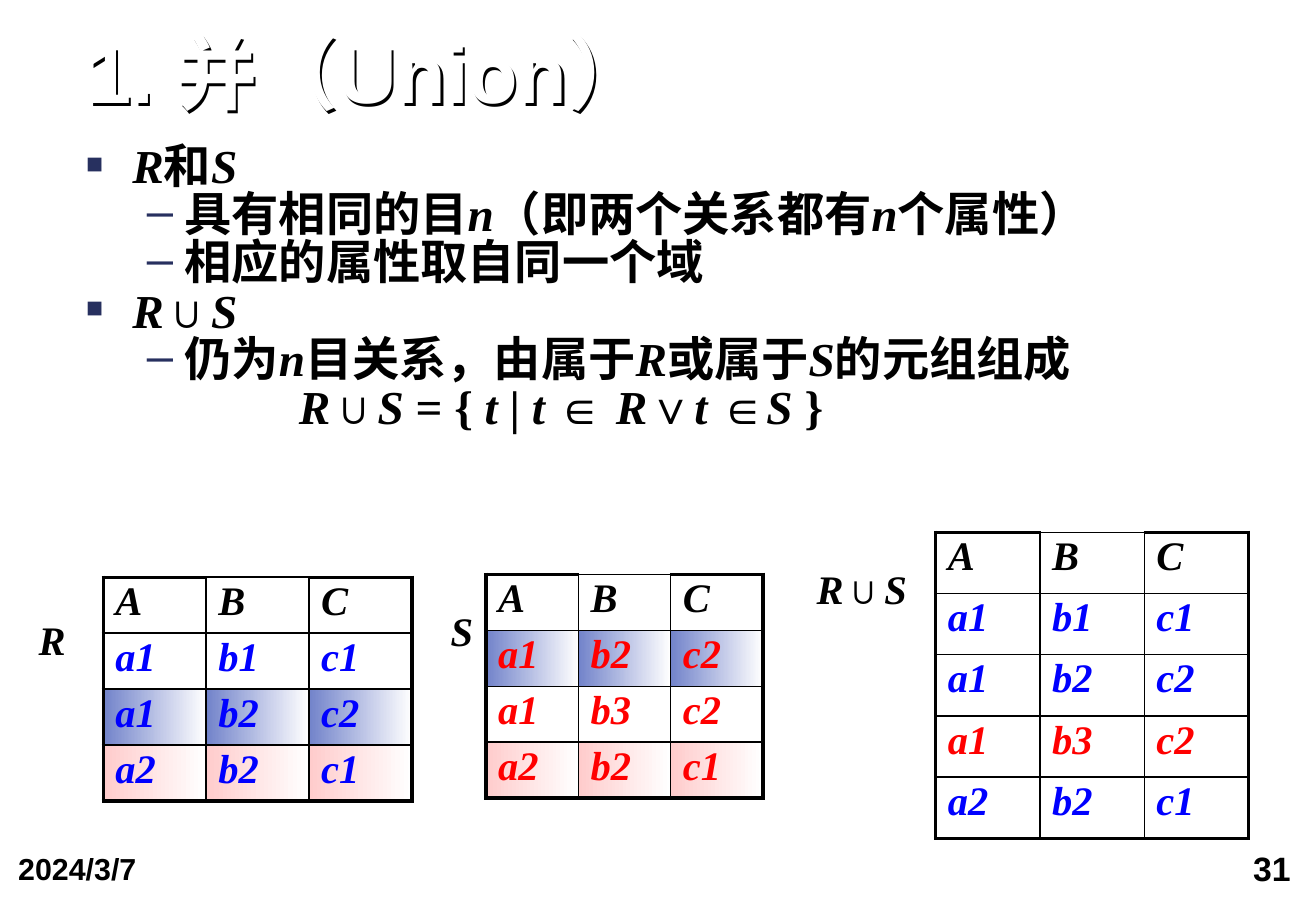
from lxml import etree
from pptx import Presentation
from pptx.dml.color import RGBColor
from pptx.enum.text import MSO_ANCHOR, PP_ALIGN
from pptx.oxml import parse_xml
from pptx.oxml.ns import nsdecls, qn
from pptx.util import Cm, Pt

LEFT, CENTER, RIGHT = PP_ALIGN.LEFT, PP_ALIGN.CENTER, PP_ALIGN.RIGHT
JUSTIFY = PP_ALIGN.JUSTIFY
TOP, MIDDLE, BOTTOM = MSO_ANCHOR.TOP, MSO_ANCHOR.MIDDLE, MSO_ANCHOR.BOTTOM
BLACK = RGBColor(0x00, 0x00, 0x00)
WHITE = RGBColor(0xFF, 0xFF, 0xFF)
BLUE = RGBColor(0x00, 0x00, 0xFF)
RED = RGBColor(0xFF, 0x00, 0x00)
NAVY = RGBColor(0x27, 0x30, 0x5F)
INDIGO = RGBColor(0x72, 0x83, 0xCA)
PINK = RGBColor(0xFF, 0xCC, 0xCC)
SANS, SERIF = "Arial", "Times New Roman"
THIN, THICK = Pt(1), Pt(2.25)

# marker, marker size in percent, left indent and first-line offset in cm
LEVELS = {
    "item": ("■", 60, 0.97, -0.97),
    "sub": ("–", 100, 2.06, -0.79),
    "formula": (None, 100, 4.45, 0),
}
BODY = [
    ("item", "*R*和*S*"),
    ("sub", "具有相同的目*n*（即两个关系都有*n*个属性）"),
    ("sub", "相应的属性取自同一个域"),
    ("item", "*R*∪*S*"),
    ("sub", "仍为*n*目关系，由属于*R*或属于*S*的元组组成"),
    ("formula", "*R*∪*S* = { *t *| *t *∈ *R*∨*t *∈*S *}"),
]
# label, label box, table origin, column width, row height, rows
RELATIONS = [
    ("*R*", (0.56, 12.19, 0.91), (2.16, 12.07), 2.15, 1.17, [
        ("a1 b1 c1", BLUE, None),
        ("a1 b2 c2", BLUE, INDIGO),
        ("a2 b2 c1", BLUE, PINK)]),
    ("*S*", (9.17, 12.01, 0.91), (10.16, 12.01), 1.93, 1.17, [
        ("a1 b2 c2", RED, INDIGO),
        ("a1 b3 c2", RED, None),
        ("a2 b2 c1", RED, PINK)]),
    ("*R*∪*S*", (16.76, 11.13, 2.51), (19.56, 11.13), 2.18, 1.28, [
        ("a1 b1 c1", BLUE, None),
        ("a1 b2 c2", BLUE, None),
        ("a1 b3 c2", RED, None),
        ("a2 b2 c1", BLUE, None)]),
]


class SlideBuilder:
    def __init__(self, slide):
        self.s = slide

    def add_runs(self, p, text, size, font=SERIF, color=BLACK):
        """Fill a paragraph with bold runs; parts between asterisks are italic."""
        for i, part in enumerate(text.split("*")):
            if part:
                r = p.add_run()
                r.text = part
                r.font.name, r.font.size = font, Pt(size)
                r.font.bold, r.font.italic = True, i % 2 == 1
                r.font.color.rgb = color

    def box(self, x, y, w, h, inset=(0, 0), anchor=TOP, wrap=True):
        sp = self.s.shapes.add_textbox(Cm(x), Cm(y), Cm(w), Cm(h))
        tf = sp.text_frame
        tf.word_wrap, tf.vertical_anchor = wrap, anchor
        tf.margin_left = tf.margin_right = Cm(inset[0])
        tf.margin_top = tf.margin_bottom = Cm(inset[1])
        return sp

    def label(self, text, bounds, size, font=SERIF, align=LEFT,
              inset=(0.33, 0.15), anchor=TOP, wrap=True):
        p = self.box(*bounds, inset, anchor, wrap).text_frame.paragraphs[0]
        p.alignment = align
        self.add_runs(p, text, size, font)

    def title(self, text, bounds):
        sp = self.box(*bounds, anchor=BOTTOM)
        p = sp.text_frame.paragraphs[0]
        p.line_spacing = 0.9
        self.add_runs(p, text, 48, SANS, WHITE)
        sp._element.spPr.append(parse_xml(
            f'<a:effectLst {nsdecls("a")}><a:outerShdw dist="25400" dir="2700000">'
            f'<a:srgbClr val="{BLACK}"/></a:outerShdw></a:effectLst>'))

    def bullet(self, p, level):
        mark, percent, left, first = LEVELS[level]
        pPr = p._p.get_or_add_pPr()
        pPr.set("marL", str(Cm(left)))
        pPr.set("indent", str(Cm(first)))
        if mark:
            color = etree.SubElement(pPr, qn("a:buClr"))
            etree.SubElement(color, qn("a:srgbClr"), val=str(NAVY))
            etree.SubElement(pPr, qn("a:buSzPct"), val=str(percent * 1000))
            etree.SubElement(pPr, qn("a:buFont"), typeface=SANS)
            etree.SubElement(pPr, qn("a:buChar"), char=mark)

    def body(self, lines, bounds):
        tf = self.box(*bounds).text_frame
        for i, (level, text) in enumerate(lines):
            p = tf.add_paragraph() if i else tf.paragraphs[0]
            self.bullet(p, level)
            p.alignment, p.line_spacing = JUSTIFY, 0.7
            if i:
                p.space_before = Pt(5)
            self.add_runs(p, text, 28)

    def borders(self, cell, widths):
        tcPr = cell._tc.get_or_add_tcPr()
        for i, (side, width) in enumerate(zip("LRTB", widths)):
            tcPr.insert(i, parse_xml(
                f'<a:ln{side} {nsdecls("a")} w="{width}"><a:solidFill>'
                f'<a:srgbClr val="{BLACK}"/></a:solidFill></a:ln{side}>'))

    def shade(self, cell, color):
        if color is None:
            cell.fill.background()
            return
        cell.fill.gradient()
        cell.fill.gradient_angle = 0
        for stop, rgb in zip(cell.fill.gradient_stops, (color, WHITE)):
            stop.color.rgb = rgb

    def relation(self, origin, col_w, row_h, rows):
        rows = [("A B C", BLACK, None)] + rows
        n, x, y = len(rows), *origin
        table = self.s.shapes.add_table(
            n, 3, Cm(x), Cm(y), Cm(3 * col_w), Cm(n * row_h)).table
        table.first_row = table.horz_banding = False
        for col in table.columns:
            col.width = Cm(col_w)
        for i, (values, color, fill) in enumerate(rows):
            table.rows[i].height = Cm(row_h)
            for j, value in enumerate(values.split()):
                cell = table.cell(i, j)
                p = cell.text_frame.paragraphs[0]
                p.line_spacing = 0.9
                self.add_runs(p, f"*{value}*", 24, color=color)
                self.shade(cell, fill)
                # The top edge stays thin over the middle column
                heavy = (j == 0, j == 2, i == 0 and j != 1, i == n - 1)
                self.borders(cell, [THICK if h else THIN for h in heavy])


def main():
    prs = Presentation()
    prs.slide_width, prs.slide_height = Cm(27.51), Cm(19.05)
    b = SlideBuilder(prs.slides.add_slide(prs.slide_layouts[6]))
    b.label("31", (20.35, 17.58, 6.96, 1.47), 20, SANS, RIGHT)
    b.label("2024/3/7", (0.05, 17.63, 6.38, 1.6), 18, SANS)
    b.title("1. 并（Union）", (1.8, 0.71, 24.51, 1.83))
    b.body(BODY, (1.8, 3.18, 24.51, 7.04))
    for name, (x, y, w), origin, col_w, row_h, rows in RELATIONS:
        b.relation(origin, col_w, row_h, rows)
        b.label(name, (x, y, w, 2.34), 24, align=CENTER,
                inset=(0.25, 0.13), anchor=MIDDLE, wrap=False)
    prs.save("out.pptx")


if __name__ == "__main__":
    main()
